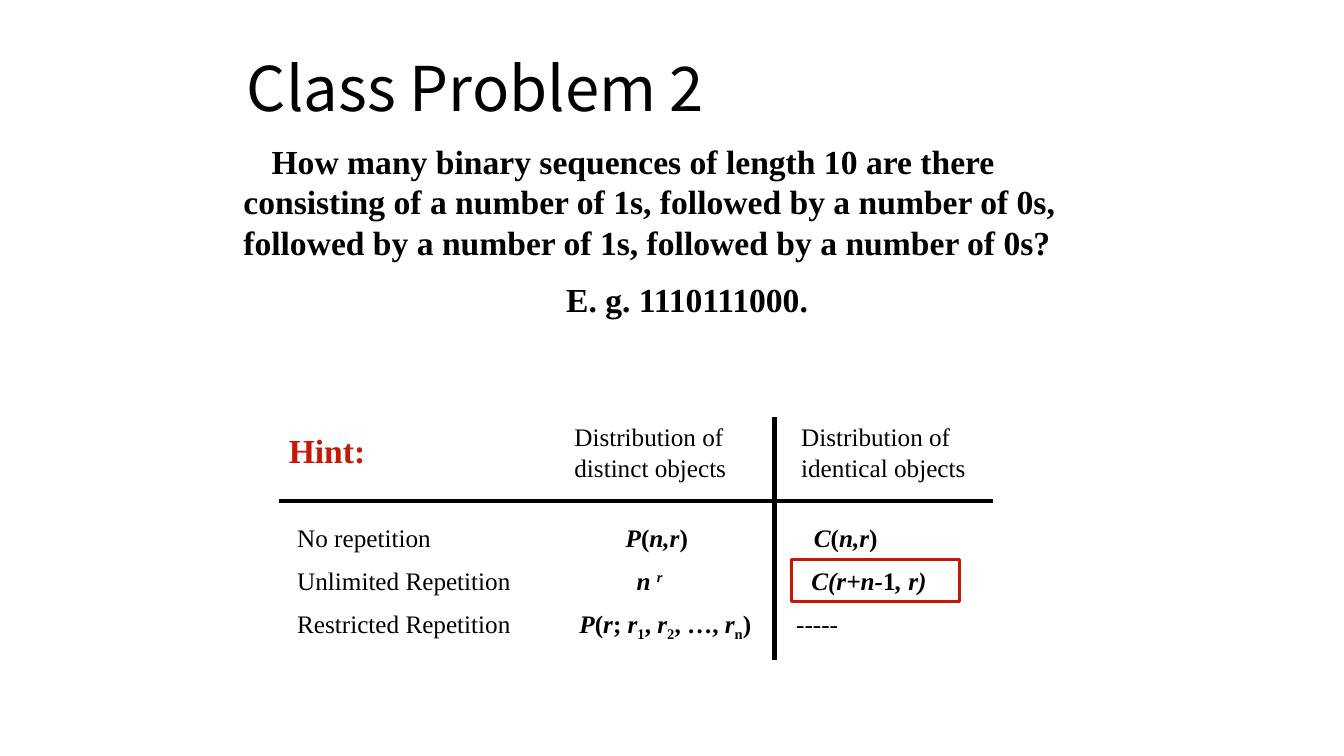
from lxml import etree
from pptx import Presentation
from pptx import util as u
from pptx.dml.color import RGBColor
from pptx.enum import shapes, text
from pptx.oxml.ns import qn

CELL = u.Inches(1) // 12  # the slide is a grid of 160 columns by 90 rows
BLACK = RGBColor(0x00, 0x00, 0x00)
RED = RGBColor(0xC6, 0x18, 0x06)
SERIF = "Times New Roman"
SANS = "Noto Sans CJK SC"
BASELINES = {"^": "30000", "_": "-25000"}

HEADER_TOP, RULE_ROW, TABLE_BOTTOM = 49.6, 59.6, 78.6
TABLE_LEFT, DIVIDER_COLUMN, TABLE_RIGHT = 33.2, 92.2, 118.2
HEADERS = [
    (67.2, 26, "Distribution of distinct objects"),
    (94.2, 28, "Distribution of identical objects"),
]
QUESTION = (
    "How many binary sequences of length 10 are there consisting of a number "
    "of 1s, followed by a number of 0s, followed by a number of 1s, followed "
    "by a number of 0s?"
)
# Each row: tab stops in columns, then spans of (text, style);
# b is bold, i italic, ^ superscript and _ subscript.
FORMULA_ROWS = [
    ((39.1, 61.5), [
        ("No repetition\t", ""), ("P", "bi"), ("(", "b"), ("n,r", "bi"),
        (")\t", "b"), ("C", "bi"), ("(", "b"), ("n,r", "bi"), (")", "b")]),
    ((40.4, 61.2), [
        ("Unlimited Repetition\t", ""), ("n ", "bi"), ("r", "bi^"),
        ("\tC(r+n-", "bi"), ("1", "b"), (", r)", "bi")]),
    ((33.6, 59.4), [
        ("Restricted Repetition\t", ""), ("P", "bi"), ("(", "b"), ("r", "bi"),
        ("; ", "b"), ("r", "bi"), ("1", "b_"), (", ", "b"), ("r", "bi"),
        ("2", "b_"), (", …, ", "b"), ("r", "bi"), ("n", "b_"), (")", "b"),
        ("\t-----", "")]),
]


def grid(*cells):
    return [round(cell * CELL) for cell in cells]


def format_span(span, size, style="", color=BLACK, name=SERIF):
    font = span.font
    font.name, font.size = name, u.Pt(size)
    font.bold, font.italic = "b" in style, "i" in style
    font.color.rgb = color
    for mark, baseline in BASELINES.items():
        if mark in style:
            font._element.set("baseline", baseline)


def add_text(page, place, lines, size, style="", color=BLACK):
    box = page.shapes.add_textbox(*grid(*place))
    frame = box.text_frame
    frame.word_wrap = True
    frame.text = "\n".join(lines)
    for para in frame.paragraphs:
        for span in para.runs:
            format_span(span, size, style, color)
    return frame


def add_title(page, place, words):
    title = page.shapes.title
    title.left, title.top, title.width, title.height = grid(*place)
    frame = title.text_frame
    frame.text = words
    frame.auto_size = text.MSO_AUTO_SIZE.NONE
    frame.vertical_anchor = text.MSO_ANCHOR.MIDDLE
    para = frame.paragraphs[0]
    para.alignment = text.PP_ALIGN.LEFT
    para.line_spacing = 0.9
    format_span(para.runs[0], 44, name=SANS)


def add_question(page):
    frame = add_text(page, (27.8, 16.2, 108, 23),
                     [QUESTION, "E. g. 1110111000."], 24, "b")
    question, example = frame.paragraphs
    question._p.get_or_add_pPr().set("indent", str(u.Inches(0.28)))
    example.alignment = text.PP_ALIGN.CENTER
    example.space_before = u.Pt(12)


def add_tabs(para, columns):
    tabs = etree.SubElement(para._p.get_or_add_pPr(), qn("a:tabLst"))
    for position in grid(*columns):
        etree.SubElement(tabs, qn("a:tab"), pos=str(position), algn="l")


def add_formulas(page, place):
    frame = add_text(page, place, [""] * len(FORMULA_ROWS), 18)
    for index, (columns, spans) in enumerate(FORMULA_ROWS):
        para = frame.paragraphs[index]
        add_tabs(para, columns)
        if index:
            para.space_before = u.Pt(9)
        for words, style in spans:
            span = para.add_run()
            span.text = words
            format_span(span, 18, style)


def add_rule(page, *ends):
    rule = page.shapes.add_connector(shapes.MSO_CONNECTOR.STRAIGHT, *grid(*ends))
    rule.line.color.rgb = BLACK
    rule.line.width = u.Pt(3)
    etree.SubElement(rule._element.spPr, qn("a:effectLst"))


def add_highlight(page, place):
    frame = page.shapes.add_shape(shapes.MSO_SHAPE.RECTANGLE, *grid(*place))
    frame.shadow.inherit = False
    frame.fill.background()
    frame.line.color.rgb = RED
    frame.line.width = u.Pt(2.25)


def main():
    deck = Presentation()
    deck.slide_width, deck.slide_height = grid(160, 90)
    page = deck.slides.add_slide(deck.slide_layouts.get_by_name("Title Only"))
    add_title(page, (28.2, 3.4, 102, 15), "Class Problem 2")
    add_question(page)
    for left, width, words in HEADERS:
        add_text(page, (left, HEADER_TOP, width, 8.4), [words], 18)
    add_rule(page, TABLE_LEFT, RULE_ROW, TABLE_RIGHT, RULE_ROW)
    add_rule(page, DIVIDER_COLUMN, HEADER_TOP, DIVIDER_COLUMN, TABLE_BOTTOM)
    add_formulas(page, (34.2, 61.6, 88, 15.6))
    add_highlight(page, (94.2, 66.6, 20, 5))
    add_text(page, (TABLE_LEFT, 50.6, 26, 6), ["Hint:"], 24, "b", RED)
    deck.save("out.pptx")


if __name__ == "__main__":
    main()
